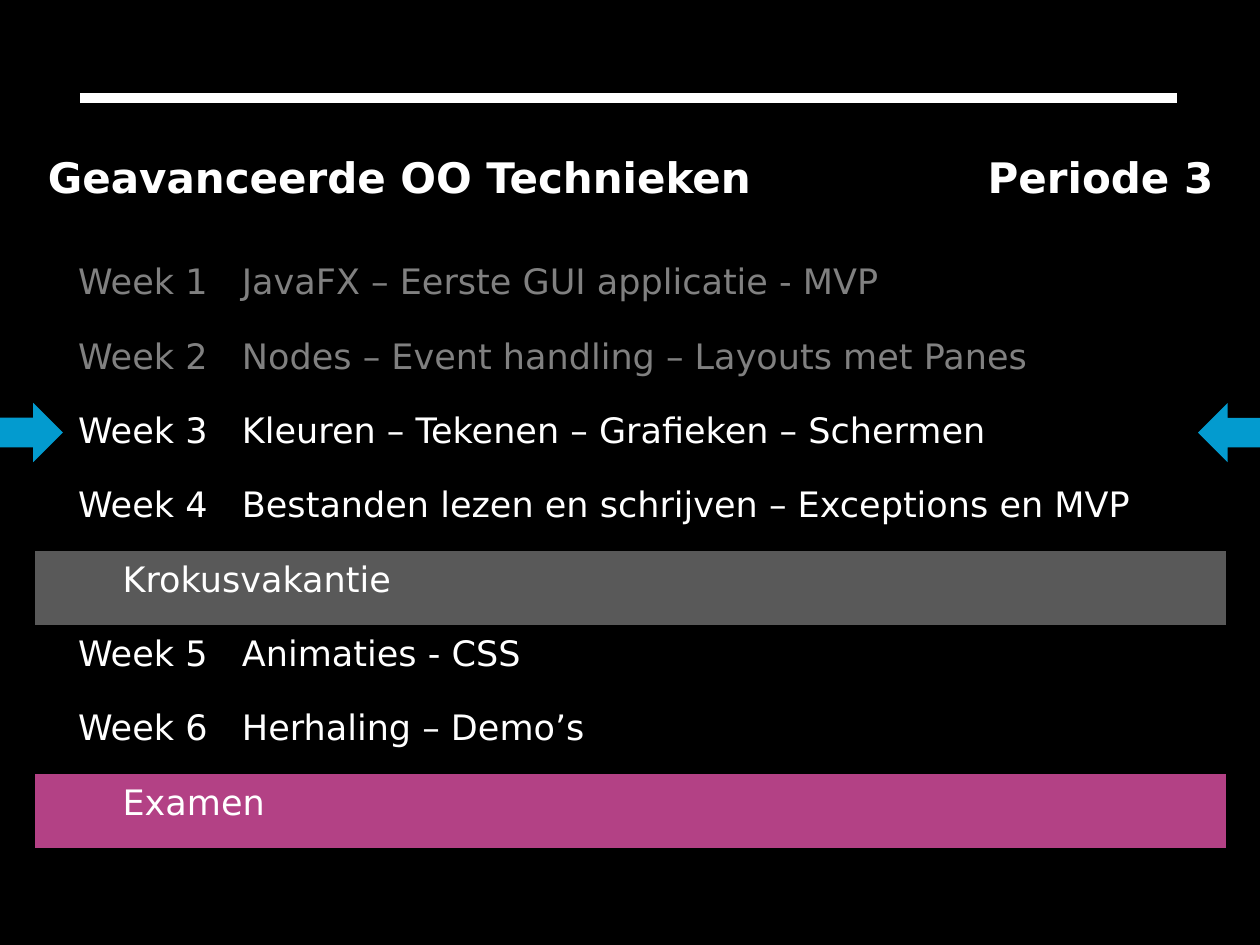
from dataclasses import dataclass
from typing import Optional

from lxml.etree import SubElement
from pptx import Presentation
from pptx.dml.color import RGBColor
from pptx.enum.shapes import MSO_CONNECTOR, MSO_SHAPE
from pptx.enum.text import PP_ALIGN
from pptx.oxml.ns import qn
from pptx.util import Pt

BLACK = RGBColor(0x00, 0x00, 0x00)
WHITE = RGBColor(0xFF, 0xFF, 0xFF)
GREY = RGBColor(0x80, 0x80, 0x80)
DARK_GREY = RGBColor(0x59, 0x59, 0x59)
MAGENTA = RGBColor(0xB3, 0x41, 0x85)
BLUE = RGBColor(0x03, 0x9B, 0xCF)

FONT = "DejaVu Sans"
NO_GRID_STYLE = "{2D5ABB26-0587-4C30-8999-92F81FD0307C}"
COLUMN_WIDTHS = (16.6, 93.6, 398.2, 116.6, 54.7)
LAST_COLUMN = len(COLUMN_WIDTHS) - 1
ROW_HEIGHT = 42.5
SPACER_HEIGHT = 18.8
FIRST_ROW = 2
CELL_INSET = 7.2
BAND_INSET = 32.6


@dataclass(frozen=True)
class Week:
    """A numbered course week and its topic."""

    number: int
    topic: str
    color: RGBColor = WHITE


@dataclass(frozen=True)
class Band:
    """A coloured row without a week number."""

    label: str
    fill: RGBColor
    last_merged: int


SCHEDULE = (
    Week(1, "JavaFX – Eerste GUI applicatie - MVP", GREY),
    Week(2, "Nodes – Event handling – Layouts met Panes", GREY),
    Week(3, "Kleuren – Tekenen – Grafieken – Schermen"),
    Week(4, "Bestanden lezen en schrijven – Exceptions en MVP"),
    Band("Krokusvakantie", DARK_GREY, LAST_COLUMN),
    Week(5, "Animaties - CSS"),
    Week(6, "Herhaling – Demo’s"),
    Band("Examen", MAGENTA, LAST_COLUMN - 1),
)


def write_cell(cell, text: str, size: float = 20, color: RGBColor = WHITE,
               bold: bool = False, align: Optional[PP_ALIGN] = None,
               left: float = CELL_INSET) -> None:
    """Put one run of text in a table cell."""
    cell.margin_left = Pt(left)
    cell.margin_right = Pt(CELL_INSET)
    cell.margin_top = cell.margin_bottom = Pt(5)
    para = cell.text_frame.paragraphs[0]
    if align is not None:
        para.alignment = align
    span = para.add_run()
    span.text = text
    span.font.name = FONT
    span.font.size = Pt(size)
    span.font.bold = bold
    span.font.color.rgb = color


def merge(table, row: int, first: int, last: int):
    """Merge the cells of one row and return the leading cell."""
    cell = table.cell(row, first)
    cell.merge(table.cell(row, last))
    return cell


def clear_table(table) -> None:
    """Remove style, fills and the height of empty cells."""
    table.first_row = False
    table.horz_banding = False
    table._tbl.tblPr.find(qn("a:tableStyleId")).text = NO_GRID_STYLE
    for cell in table.iter_cells():
        cell.fill.background()
        cell.margin_top = cell.margin_bottom = Pt(0)
        para = cell.text_frame.paragraphs[0]
        SubElement(para._p, qn("a:endParaRPr"), sz="800")


def draw_week(table, row: int, week: Week) -> None:
    """Fill a row with a week number and its topic."""
    write_cell(table.cell(row, 1), f"Week {week.number}", color=week.color)
    write_cell(merge(table, row, 2, LAST_COLUMN), week.topic, color=week.color)


def draw_band(table, row: int, band: Band) -> None:
    """Fill a whole row with colour and write its label."""
    for column in range(len(COLUMN_WIDTHS)):
        cell = table.cell(row, column)
        cell.fill.solid()
        cell.fill.fore_color.rgb = band.fill
    write_cell(merge(table, row, 1, band.last_merged), band.label, left=BAND_INSET)


def draw_schedule(page) -> None:
    """Draw the course table with heading, weeks and bands."""
    heights = [ROW_HEIGHT, SPACER_HEIGHT] + [ROW_HEIGHT] * len(SCHEDULE)
    table = page.shapes.add_table(
        len(heights), len(COLUMN_WIDTHS), Pt(20.2), Pt(83.5),
        Pt(sum(COLUMN_WIDTHS)), Pt(sum(heights))).table
    for column, width in zip(table.columns, COLUMN_WIDTHS):
        column.width = Pt(width)
    for row, height in zip(table.rows, heights):
        row.height = Pt(height)
    clear_table(table)
    write_cell(merge(table, 0, 0, 2), "Geavanceerde OO Technieken", 24, bold=True)
    write_cell(merge(table, 0, 3, LAST_COLUMN), "Periode 3", 24, bold=True,
               align=PP_ALIGN.RIGHT)
    merge(table, 1, 0, LAST_COLUMN)
    for row, entry in enumerate(SCHEDULE, FIRST_ROW):
        if isinstance(entry, Week):
            draw_week(table, row, entry)
        else:
            draw_band(table, row, entry)


def draw_rule(page) -> None:
    """Draw the thick white line above the heading."""
    rule = page.shapes.add_connector(
        MSO_CONNECTOR.STRAIGHT, Pt(45.6), Pt(56), Pt(672.6), Pt(56))
    rule.line.color.rgb = WHITE
    rule.line.width = Pt(6)
    SubElement(rule._element.spPr, qn("a:effectLst"))


def draw_arrow(page, left: float, rotation: float) -> None:
    """Draw an arrow that marks the current week."""
    arrow = page.shapes.add_shape(
        MSO_SHAPE.RIGHT_ARROW, Pt(left), Pt(230.3), Pt(36.5), Pt(33.8))
    arrow.rotation = rotation
    arrow.shadow.inherit = False
    arrow.fill.solid()
    arrow.fill.fore_color.rgb = BLUE
    arrow.line.fill.background()


def main() -> None:
    """Build and save the deck."""
    deck = Presentation()
    deck.slide_width, deck.slide_height = Pt(720), Pt(540)
    page = deck.slides.add_slide(deck.slide_layouts[6])
    page.background.fill.solid()
    page.background.fill.fore_color.rgb = BLACK
    draw_rule(page)
    draw_schedule(page)
    draw_arrow(page, -0.6, 0)
    draw_arrow(page, 684.6, 180)
    deck.save("out.pptx")


if __name__ == "__main__":
    main()
